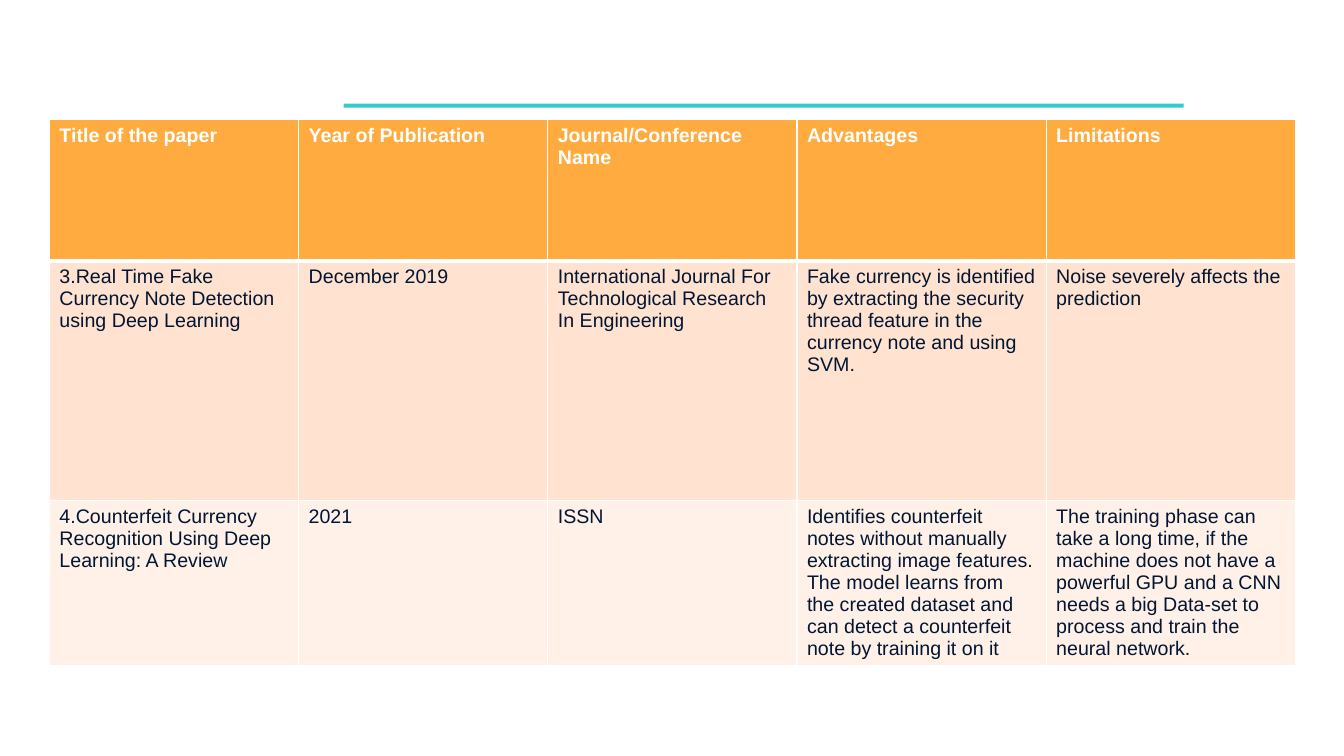
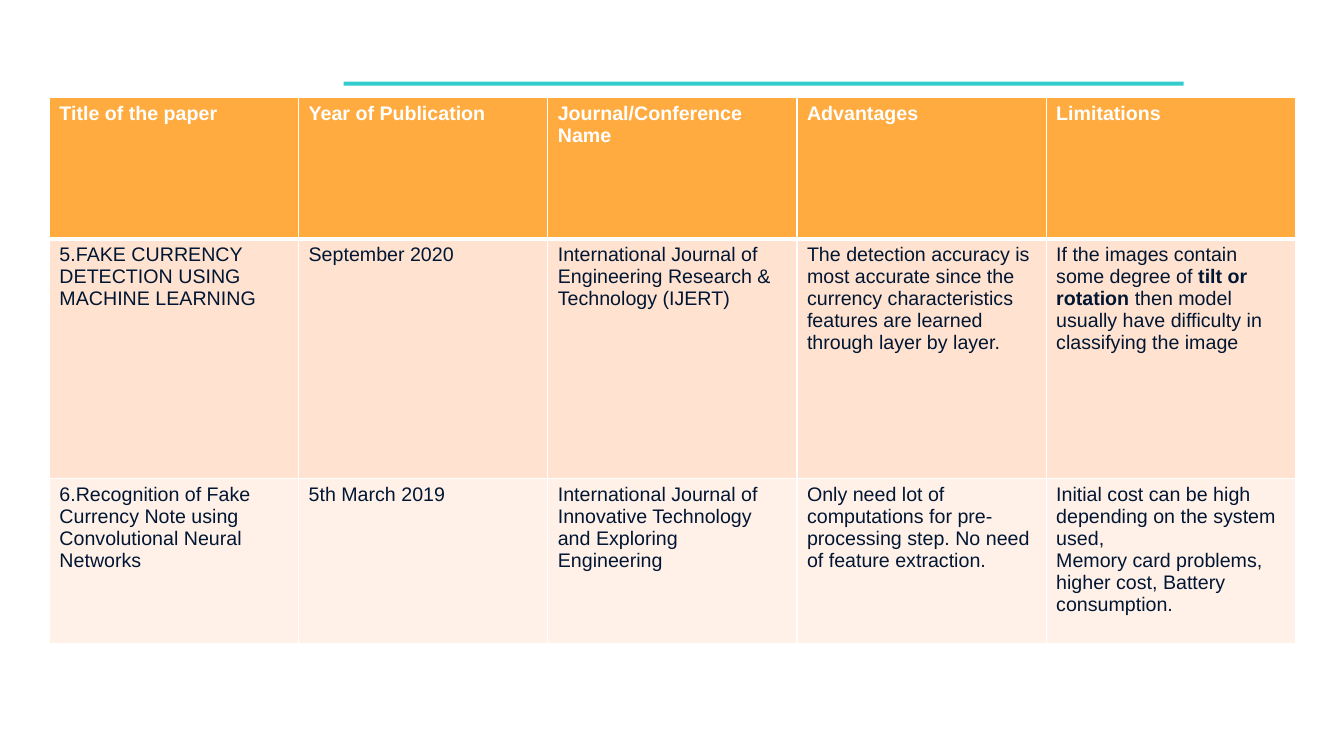
from lxml import etree
from pptx import Presentation
from pptx import util as u
from pptx.dml.color import RGBColor
from pptx.enum import shapes
from pptx.oxml import ns

WHITE = RGBColor(0xFF, 0xFF, 0xFF)
TEAL = RGBColor(0x33, 0xCC, 0xCC)
ORANGE = RGBColor(0xFF, 0xAB, 0x40)
PEACH = RGBColor(0xFF, 0xE2, 0xCF)
PALE_PEACH = RGBColor(0xFF, 0xF1, 0xE8)
NAVY = RGBColor(0x00, 0x16, 0x33)

FONT = "Arial"
FONT_SIZE = 14
TABLE_LEFT = 35.3
COLUMN_WIDTH = 178
ROW_HEIGHTS = (100.8, 171.4, 117.5)
ROW_FILLS = (ORANGE, PEACH, PALE_PEACH)
RULE_LEFT, RULE_WIDTH, RULE_HEIGHT = 245.5, 600, 2.9
RULE_ABOVE_TABLE = 11.3
THIN, THICK = 1, 3

HEADINGS = (
    "Title of the paper",
    "Year of Publication",
    "Journal/Conference Name",
    "Advantages",
    "Limitations",
)

# A cell is a string, or a list of paragraphs, each a list of (text, bold) runs.
PAPERS_3_AND_4 = (
    (
        "3.Real Time Fake Currency Note Detection using Deep Learning",
        "December 2019",
        "International Journal For Technological Research In Engineering",
        "Fake currency is identified by extracting the security thread feature "
        "in the currency note and using SVM.",
        "Noise severely affects the prediction",
    ),
    (
        "4.Counterfeit Currency Recognition Using Deep Learning: A Review",
        "2021",
        "ISSN",
        "Identifies counterfeit notes without manually extracting image features. "
        "The model learns from the created dataset and can detect a counterfeit "
        "note by training it on it",
        "The training phase can take a long time, if the machine does not have a "
        "powerful GPU and a CNN needs a big Data-set to process and train the "
        "neural network.",
    ),
)
PAPERS_5_AND_6 = (
    (
        "5.FAKE CURRENCY DETECTION USING MACHINE LEARNING",
        "September 2020",
        "International Journal of Engineering Research & Technology (IJERT)",
        "The detection accuracy is most accurate since the currency "
        "characteristics features are learned through layer by layer.",
        [[
            ("If the images contain some degree of", False),
            (" tilt or rotation", True),
            (" then model usually have difficulty in classifying the image", False),
        ]],
    ),
    (
        "6.Recognition of Fake Currency Note using Convolutional Neural Networks",
        "5th March 2019",
        "International Journal of Innovative Technology and Exploring Engineering",
        "Only need lot of computations for pre-processing step. "
        "No need of feature extraction.",
        [
            [("Initial cost can be high depending on the system used,", False)],
            [("Memory card problems, higher cost, Battery consumption.", False)],
        ],
    ),
)


def add_rule(page, top):
    rule = page.shapes.add_shape(
        shapes.MSO_SHAPE.RECTANGLE,
        u.Pt(RULE_LEFT), u.Pt(top), u.Pt(RULE_WIDTH), u.Pt(RULE_HEIGHT),
    )
    rule.shadow.inherit = False
    rule.fill.solid()
    rule.fill.fore_color.rgb = TEAL
    rule.line.fill.background()


def set_borders(cell, top, bottom):
    """Draw white borders; must run before the cell gets its fill."""
    properties = cell._tc.get_or_add_tcPr()
    widths = {"a:lnL": THIN, "a:lnR": THIN, "a:lnT": top, "a:lnB": bottom}
    for tag, width in widths.items():
        line = etree.SubElement(properties, ns.qn(tag), w=str(u.Pt(width)))
        fill = etree.SubElement(line, ns.qn("a:solidFill"))
        etree.SubElement(fill, ns.qn("a:srgbClr"), val=str(WHITE))


def write_cell(cell, content, color, bold):
    paragraphs = [[(content, bold)]] if isinstance(content, str) else content
    frame = cell.text_frame
    for index, runs in enumerate(paragraphs):
        para = frame.add_paragraph() if index else frame.paragraphs[0]
        for words, is_bold in runs:
            span = para.add_run()
            span.text = words
            span.font.name = FONT
            span.font.size = u.Pt(FONT_SIZE)
            span.font.bold = is_bold
            span.font.color.rgb = color


def add_paper_table(page, top, papers):
    rows = (HEADINGS, *papers)
    table = page.shapes.add_table(
        len(rows), len(HEADINGS), u.Pt(TABLE_LEFT), u.Pt(top),
        u.Pt(COLUMN_WIDTH * len(HEADINGS)), u.Pt(sum(ROW_HEIGHTS)),
    ).table
    for column in table.columns:
        column.width = u.Pt(COLUMN_WIDTH)
    for r, contents in enumerate(rows):
        table.rows[r].height = u.Pt(ROW_HEIGHTS[r])
        is_header = r == 0
        for c, content in enumerate(contents):
            cell = table.cell(r, c)
            set_borders(cell, THICK if r == 1 else THIN, THICK if is_header else THIN)
            cell.fill.solid()
            cell.fill.fore_color.rgb = ROW_FILLS[r]
            write_cell(cell, content, WHITE if is_header else NAVY, is_header)


def add_survey_page(deck, table_top, papers):
    page = deck.slides.add_slide(deck.slide_layouts[6])
    add_rule(page, table_top - RULE_ABOVE_TABLE)
    add_paper_table(page, table_top, papers)


def main():
    deck = Presentation()
    deck.slide_width, deck.slide_height = u.Pt(960), u.Pt(540)
    add_survey_page(deck, 85.4, PAPERS_3_AND_4)
    add_survey_page(deck, 69.7, PAPERS_5_AND_6)
    deck.save("out.pptx")


if __name__ == "__main__":
    main()
